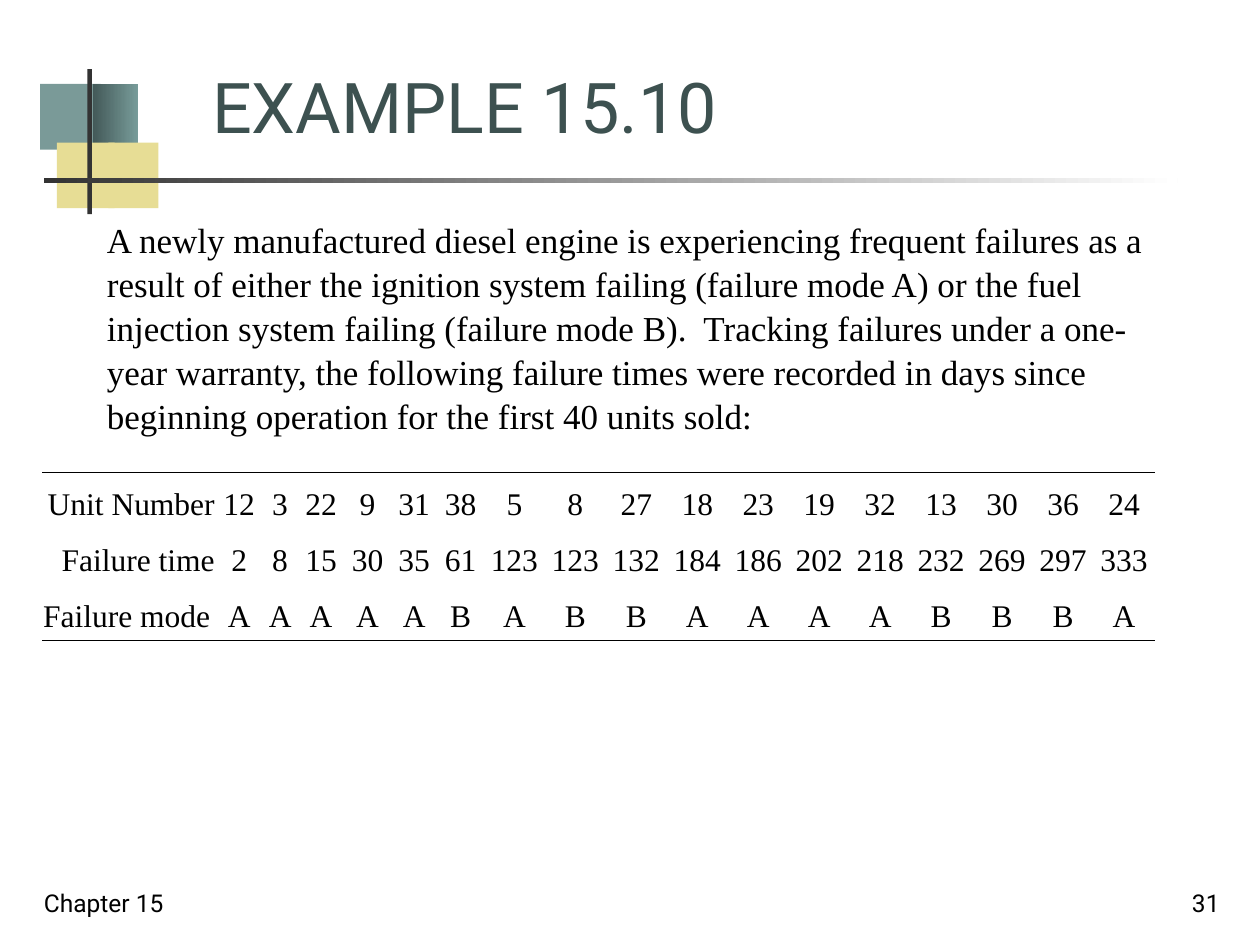
"""Build the slide for example 15.10 on diesel engine failures."""
import pptx
import pptx.util
import pptx.dml.color
import pptx.enum.shapes
import pptx.enum.text
import pptx.oxml
import pptx.oxml.ns

Pt = pptx.util.Pt
RGB = pptx.dml.color.RGBColor
ALIGN = pptx.enum.text.PP_ALIGN
ANCHOR = pptx.enum.text.MSO_ANCHOR

TEAL = RGB(0x7A, 0x9A, 0x98)
DEEP = RGB(0x43, 0x59, 0x58)
PALE = RGB(0x78, 0x9C, 0x9A)
SAND = RGB(0xE7, 0xDD, 0x95)
DARK = RGB(0x33, 0x33, 0x33)
PINE = RGB(0x3D, 0x51, 0x50)
BLACK = RGB(0, 0, 0)
WHITE = RGB(255, 255, 255)

SANS = "Roboto"
SERIF = "Times New Roman"

STORY = (
    "A newly manufactured diesel engine is experiencing frequent failures as a "
    "result of either the ignition system failing (failure mode A) or the fuel "
    "injection system failing (failure mode B).  Tracking failures under a "
    "one-year warranty, the following failure times were recorded in days since "
    "beginning operation for the first 40 units sold:"
)
BLOCKS = [
    (23, 48, 34.5, 37.5, [TEAL]),
    (53, 48, 26, 37.5, [DEEP, PALE]),
    (32.5, 81.5, 33, 37.5, [SAND]),
    (62, 81.5, 28.5, 37.5, [SAND]),
    (50, 39.5, 2.5, 83, [DARK]),
    (25, 102, 648, 2.7, [DARK, WHITE]),
]
ROWS = [
    ["Unit Number"] + "12 3 22 9 31 38 5 8 27 18 23 19 32 13 30 36 24".split(),
    ["Failure time"] + ("2 8 15 30 35 61 123 123 132 184 186 202 218 232 "
                        "269 297 333").split(),
    ["Failure mode"] + list("AAAAABABBAAAABBBA"),
]
WIDTHS = [99.4, 26.6, 20.2] + [26.6] * 4 + [34.85] * 11


class Page:
    """Hold the style and the current slide."""

    def __init__(self, deck):
        self.slide = deck.slides.add_slide(deck.slide_layouts[5])
        self.shapes = self.slide.shapes

    def style(self, para, size, face, color=BLACK, align=ALIGN.LEFT, space=1.0):
        para.alignment = align
        para.line_spacing = space
        para.space_before = Pt(0)
        for run in para.runs:
            run.font.size = Pt(size)
            run.font.name = face
            run.font.color.rgb = color

    def block(self, left, top, wide, high, colors):
        shape = self.shapes.add_shape(
            pptx.enum.shapes.MSO_SHAPE.RECTANGLE, Pt(left), Pt(top), Pt(wide), Pt(high))
        shape.shadow.inherit = False
        shape.line.fill.background()
        if len(colors) == 1:
            shape.fill.solid()
            shape.fill.fore_color.rgb = colors[0]
            return
        shape.fill.gradient()
        shape.fill.gradient_angle = 0
        for stop, color in zip(shape.fill.gradient_stops, colors):
            stop.color.rgb = color

    def title(self, text, left, top, wide, high):
        shape = self.shapes.title
        shape.left, shape.top = Pt(left), Pt(top)
        shape.width, shape.height = Pt(wide), Pt(high)
        frame = shape.text_frame
        frame.text = text
        frame.auto_size = pptx.enum.text.MSO_AUTO_SIZE.NONE
        frame.vertical_anchor = ANCHOR.BOTTOM
        self.style(frame.paragraphs[0], 40, SANS, PINE)
        self.shapes._spTree.append(shape._element)

    def text(self, text, left, top, wide, high, size, face,
             align=ALIGN.LEFT, anchor=ANCHOR.TOP, space=1.0, indent=0):
        box = self.shapes.add_textbox(Pt(left), Pt(top), Pt(wide), Pt(high))
        frame = box.text_frame
        frame.word_wrap = True
        frame.vertical_anchor = anchor
        frame.text = text
        para = frame.paragraphs[0]
        para._p.get_or_add_pPr().set("marL", str(Pt(indent)))
        self.style(para, size, face, align=align, space=space)

    def border(self, cell, sides):
        props = cell._tc.get_or_add_tcPr()
        for spot, side in enumerate("LRTB"):
            line = pptx.oxml.parse_xml(
                f'<a:ln{side} {pptx.oxml.ns.nsdecls("a")} w="{Pt(0.45)}">'
                + (f'<a:solidFill><a:srgbClr val="{BLACK}"/></a:solidFill>'
                   if side in sides else "<a:noFill/>")
                + f"</a:ln{side}>")
            props.insert(spot, line)

    def table(self, rows, widths, left, top, high):
        table = self.shapes.add_table(
            len(rows), len(widths), Pt(left), Pt(top),
            Pt(sum(widths)), Pt(high * len(rows))).table
        table.first_row = table.horz_banding = False
        for col, wide in zip(table.columns, widths):
            col.width = Pt(wide)
        last = len(rows) - 1
        for r, row in enumerate(rows):
            for c, text in enumerate(row):
                cell = table.cell(r, c)
                cell.text = text
                cell.fill.background()
                cell.vertical_anchor = ANCHOR.BOTTOM
                cell.margin_left = cell.margin_right = Pt(0.7)
                cell.margin_top = cell.margin_bottom = Pt(3.6)
                head = ALIGN.LEFT if r == last else ALIGN.RIGHT
                self.style(cell.text_frame.paragraphs[0], 18, SERIF,
                           align=ALIGN.CENTER if c else head, space=1.15)
                self.border(cell, {0: "T", last: "B"}.get(r, ""))


def main():
    deck = pptx.Presentation()
    deck.slide_width, deck.slide_height = Pt(720), Pt(540)
    page = Page(deck)
    for block in BLOCKS:
        page.block(*block)
    page.title("EXAMPLE 15.10", 114, 18, 559.5, 70)
    page.text(STORY, 18, 120, 666, 144, 20, SERIF, space=1.05, indent=36)
    page.text("Chapter 15", 18, 492, 150, 36, 14, SANS, anchor=ANCHOR.BOTTOM)
    page.text("31", 554, 492, 150, 36, 14, SANS,
              align=ALIGN.RIGHT, anchor=ANCHOR.BOTTOM)
    page.table(ROWS, WIDTHS, 24, 270, 25.7)
    deck.save("out.pptx")


if __name__ == "__main__":
    main()
